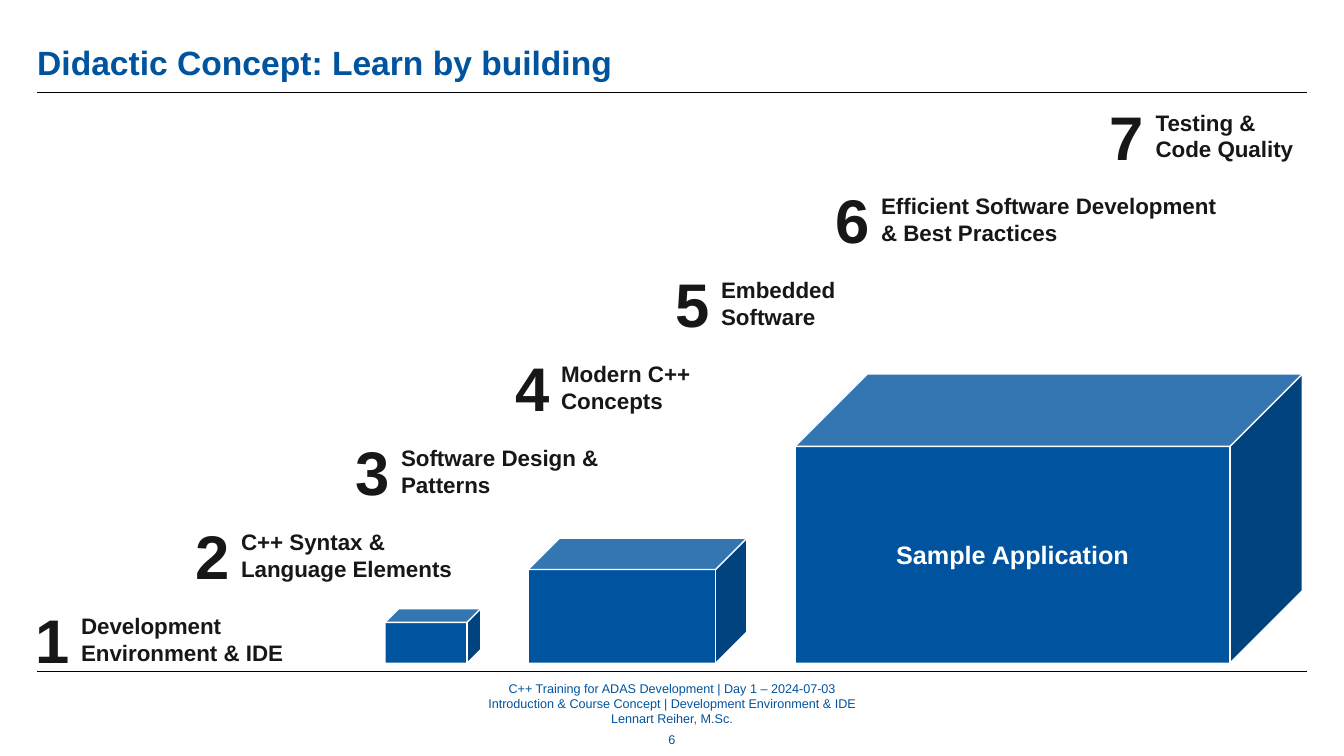
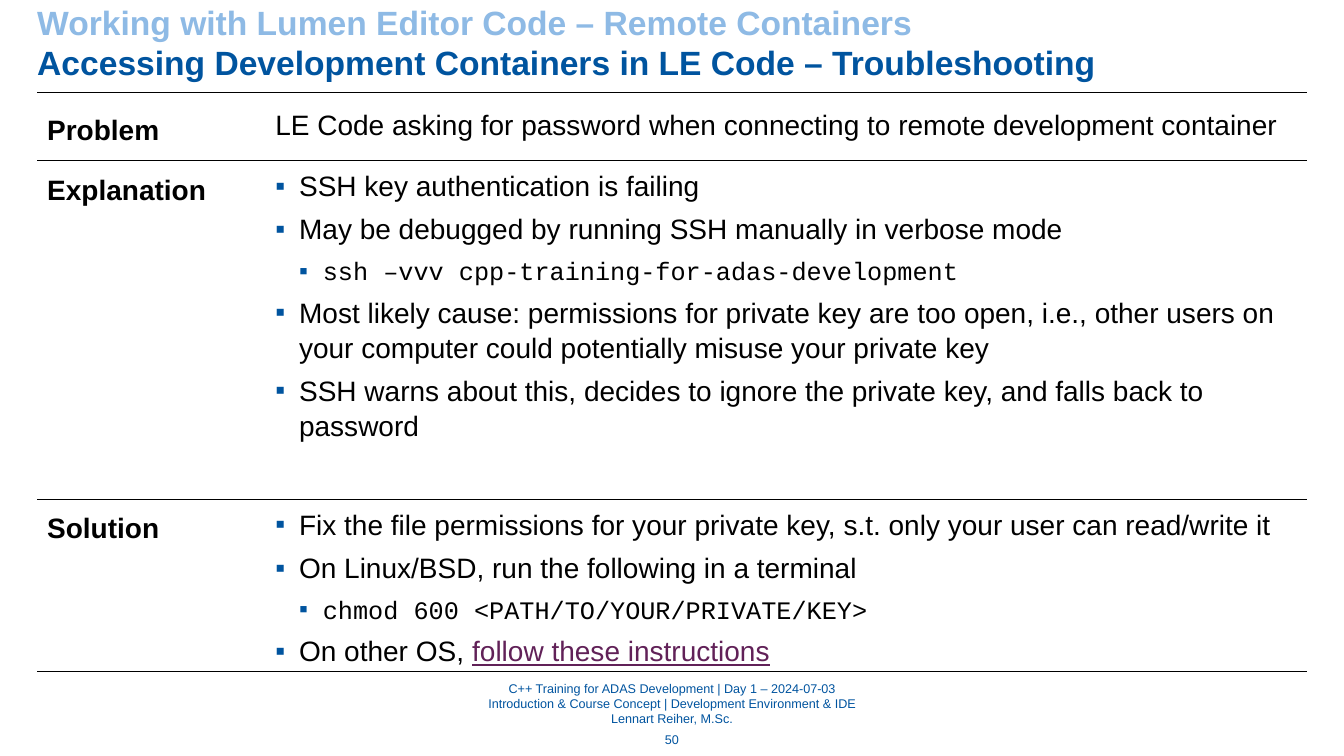
"""Build two slides of a C++ training course: the didactic concept and a troubleshooting page."""
from dataclasses import dataclass

import pptx
import pptx.dml.color
import pptx.enum.shapes
import pptx.enum.text
import pptx.oxml
import pptx.oxml.ns
import pptx.util
from lxml import etree

Pt = pptx.util.Pt
RGBColor = pptx.dml.color.RGBColor
Align = pptx.enum.text.PP_ALIGN
Anchor = pptx.enum.text.MSO_ANCHOR

BLUE = RGBColor(0x00, 0x54, 0x9F)
LIGHT_BLUE = RGBColor(0x8E, 0xBA, 0xE5)
BLACK = RGBColor(0x00, 0x00, 0x00)
INK = RGBColor(0x17, 0x17, 0x17)
WHITE = RGBColor(0xFF, 0xFF, 0xFF)
VIOLET = RGBColor(0x61, 0x21, 0x58)

SANS, MONO = "Arial", "Courier New"
WIDTH, HEIGHT = 960, 540
LEFT, RIGHT = 26.6, 933.8
HEAD_RULE, FOOT_RULE = 66.2, 479.5
BODY_LEFT = 196.6
INDENT = 17
FOOTER = (
    "C++ Training for ADAS Development | Day 1 – 2024-07-03",
    "Introduction & Course Concept | Development Environment & IDE\vLennart Reiher, M.Sc.",
)


@dataclass(frozen=True)
class Box:
    left: float
    top: float
    width: float
    height: float

    def emu(self) -> tuple:
        return Pt(self.left), Pt(self.top), Pt(self.width), Pt(self.height)


@dataclass(frozen=True)
class Step:
    text: str
    width: float = 173.5
    shift: float = 0


@dataclass(frozen=True)
class Cube:
    left: float
    width: float
    height: float
    text: str = ""


@dataclass(frozen=True)
class Bullet:
    text: str
    level: int = 0
    link: str = ""


@dataclass(frozen=True)
class Row:
    label: str
    top: float
    height: float


STEPS = (
    Step("Development Environment & IDE"),
    Step("C++ Syntax & Language Elements"),
    Step("Software Design & Patterns"),
    Step("Modern C++ Concepts"),
    Step("Embedded\vSoftware"),
    Step("Efficient Software Development & Best Practices", 255),
    Step("Testing &\vCode Quality", 140, 81.7),
)
CUBES = (
    Cube(568, 362.2, 206.6, "Sample Application"),
    Cube(377.3, 156.2, 89.3),
    Cube(275, 68.4, 39),
)
PROBLEM = Row("Problem", 77, 32.4)
EXPLANATION = Row("Explanation", 119.5, 232.6)
SOLUTION = Row("Solution", 361.4, 118)
CAUSES = (
    Bullet("SSH key authentication is failing"),
    Bullet("May be debugged by running SSH manually in verbose mode"),
    Bullet("ssh –vvv cpp-training-for-adas-development", 1),
    Bullet("Most likely cause: permissions for private key are too open, i.e., other users on "
           "your computer could potentially misuse your private key"),
    Bullet("SSH warns about this, decides to ignore the private key, and falls back to password"),
)
FIXES = (
    Bullet("Fix the file permissions for your private key, s.t. only your user can read/write it"),
    Bullet("On Linux/BSD, run the following in a terminal"),
    Bullet("chmod 600 <PATH/TO/YOUR/PRIVATE/KEY>", 1),
    Bullet("On other OS, ", link="follow these instructions"),
)


def style(p, size: float, color: RGBColor, bold: bool = False, name: str = SANS) -> None:
    for r in p.runs:
        r.font.size = Pt(size)
        r.font.color.rgb = color
        r.font.bold = bold
        r.font.name = name


def set_margins(tf, left: float, top: float, right: float, bottom: float) -> None:
    tf.margin_left, tf.margin_top = Pt(left), Pt(top)
    tf.margin_right, tf.margin_bottom = Pt(right), Pt(bottom)


def add_text(s, box: Box, lines: tuple, size: float, color: RGBColor, bold: bool = False,
             align=Align.LEFT, anchor=Anchor.TOP, margins: tuple = (7.2, 3.6, 7.2, 3.6)) -> None:
    tf = s.shapes.add_textbox(*box.emu()).text_frame
    tf.word_wrap = True
    tf.vertical_anchor = anchor
    set_margins(tf, *margins)
    tf.text = "\n".join(lines)
    for p in tf.paragraphs:
        p.alignment = align
        style(p, size, color, bold)


def add_rule(s, top: float) -> None:
    line = s.shapes.add_connector(pptx.enum.shapes.MSO_CONNECTOR.STRAIGHT,
                                  Pt(LEFT), Pt(top), Pt(RIGHT), Pt(top))
    line.line.color.rgb = BLACK
    line.line.width = Pt(0.5)
    etree.SubElement(line._element.spPr, pptx.oxml.ns.qn("a:effectLst"))


def place(sp, box: Box, anchor=Anchor.TOP):
    sp.left, sp.top, sp.width, sp.height = box.emu()
    tf = sp.text_frame
    tf.word_wrap = True
    tf.auto_size = pptx.enum.text.MSO_AUTO_SIZE.NONE
    tf.vertical_anchor = anchor
    set_margins(tf, 0, 0, 0, 0)
    return tf


def add_slide(prs, layout: int, number: int, title: str, section: str = ""):
    s = prs.slides.add_slide(prs.slide_layouts[layout])
    tf = place(s.shapes.title, Box(LEFT, 3.6, RIGHT - LEFT, 55.2), Anchor.BOTTOM)
    tf.text = f"{section}\n{title}" if section else title
    for p in tf.paragraphs:
        p.alignment = Align.LEFT
        style(p, 24, LIGHT_BLUE, True)
    style(tf.paragraphs[-1], 24, BLUE, True)
    add_rule(s, HEAD_RULE)
    add_rule(s, FOOT_RULE)
    add_text(s, Box(247, 486, 466, 33.1), FOOTER, 9, BLUE,
             align=Align.CENTER, anchor=Anchor.MIDDLE, margins=(0, 0, 0, 0))
    add_text(s, Box(461.5, 519.1, 37, 18.7), (str(number),), 9, BLUE,
             align=Align.CENTER, anchor=Anchor.MIDDLE)
    return s


def add_step(s, index: int, step: Step) -> None:
    left = 18 + 114.3 * index + step.shift
    top = 426.2 - 59.9 * index
    add_text(s, Box(left, top, 33, 60.5), (str(index + 1),), 44, INK, True,
             margins=(7.2, 3.6, 0, 3.6))
    add_text(s, Box(left + 32.8, top + 7.3, step.width, 46), (step.text,), 16, INK, True)


def add_cube(s, cube: Cube) -> None:
    box = Box(cube.left, 473.8 - cube.height, cube.width, cube.height)
    sp = s.shapes.add_shape(pptx.enum.shapes.MSO_SHAPE.CUBE, *box.emu())
    sp.shadow.inherit = False
    sp.fill.solid()
    sp.fill.fore_color.rgb = BLUE
    sp.line.color.rgb = WHITE
    sp.line.width = Pt(1)
    if cube.text:
        tf = sp.text_frame
        tf.text = cube.text
        tf.vertical_anchor = Anchor.MIDDLE
        tf.paragraphs[0].alignment = Align.CENTER
        style(tf.paragraphs[0], 18, WHITE, True)


def add_marker(p, level: int) -> None:
    pPr = p._p.get_or_add_pPr()
    pPr.set("marL", str(Pt(INDENT * (level + 1))))
    pPr.set("indent", str(-Pt(INDENT)))
    qn = pptx.oxml.ns.qn
    color = etree.SubElement(pPr, qn("a:buClr"))
    etree.SubElement(color, qn("a:srgbClr"), val=str(BLUE))
    etree.SubElement(pPr, qn("a:buFont"), typeface=SANS)
    etree.SubElement(pPr, qn("a:buChar"), char="▪")


def fill_list(sp, row: Row, bullets: tuple) -> None:
    tf = place(sp, Box(BODY_LEFT, row.top, RIGHT - BODY_LEFT, row.height))
    tf.text = "\n".join(b.text for b in bullets)
    for p, b in zip(tf.paragraphs, bullets):
        p.level = b.level
        p.alignment = Align.LEFT
        p.line_spacing = 1.04
        p.space_before, p.space_after = Pt(0), Pt(6)
        add_marker(p, b.level)
        if b.level:
            style(p, 18, BLACK, name=MONO)
        else:
            style(p, 20, BLACK)
        if b.link:
            r = p.add_run()
            r.text = b.link
            r.font.size = Pt(20)
            r.font.name = SANS
            r.font.color.rgb = VIOLET
            r.font.underline = True


def build_concept(prs) -> None:
    s = add_slide(prs, 5, 6, "Didactic Concept: Learn by building")
    for cube in CUBES:
        add_cube(s, cube)
    for index, step in enumerate(STEPS):
        add_step(s, index, step)


def build_troubleshooting(prs) -> None:
    s = add_slide(prs, 3, 50, "Accessing Development Containers in LE Code – Troubleshooting",
                  "Working with Lumen Editor Code – Remote Containers")
    for row in (PROBLEM, EXPLANATION, SOLUTION):
        add_text(s, Box(LEFT, row.top, 130.3, 31.7), (row.label,), 20, BLACK, True)
        if row is not PROBLEM:
            add_rule(s, row.top - 5)
    add_text(s, Box(BODY_LEFT, PROBLEM.top, RIGHT - BODY_LEFT, PROBLEM.height),
             ("LE Code asking for password when connecting to remote development container",),
             20, BLACK, margins=(0, 0, 0, 0))
    fill_list(s.placeholders[1], EXPLANATION, CAUSES)
    fill_list(s.placeholders[2], SOLUTION, FIXES)


def main() -> None:
    prs = pptx.Presentation()
    prs.slide_width, prs.slide_height = Pt(WIDTH), Pt(HEIGHT)
    build_concept(prs)
    build_troubleshooting(prs)
    prs.save("out.pptx")


if __name__ == "__main__":
    main()
